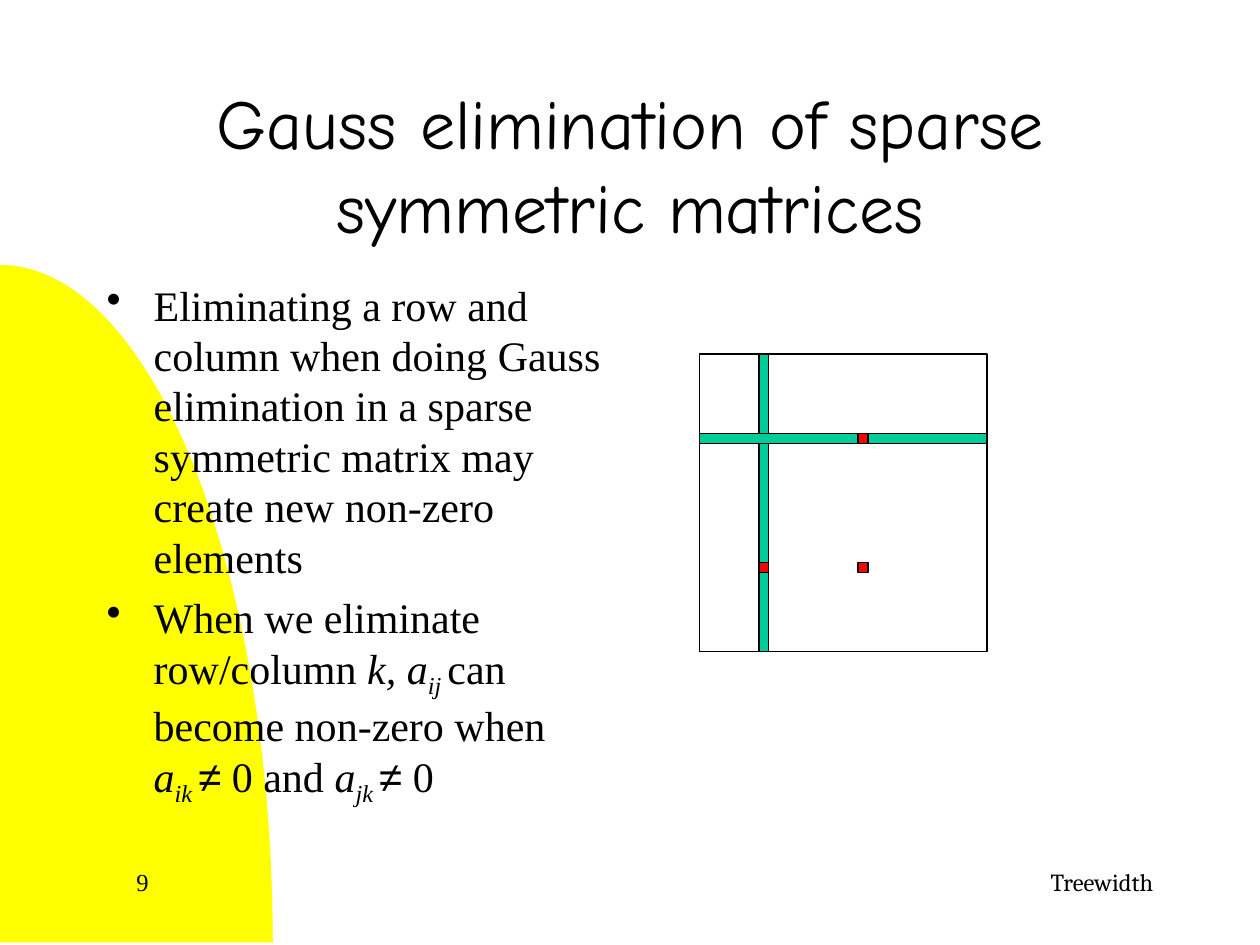
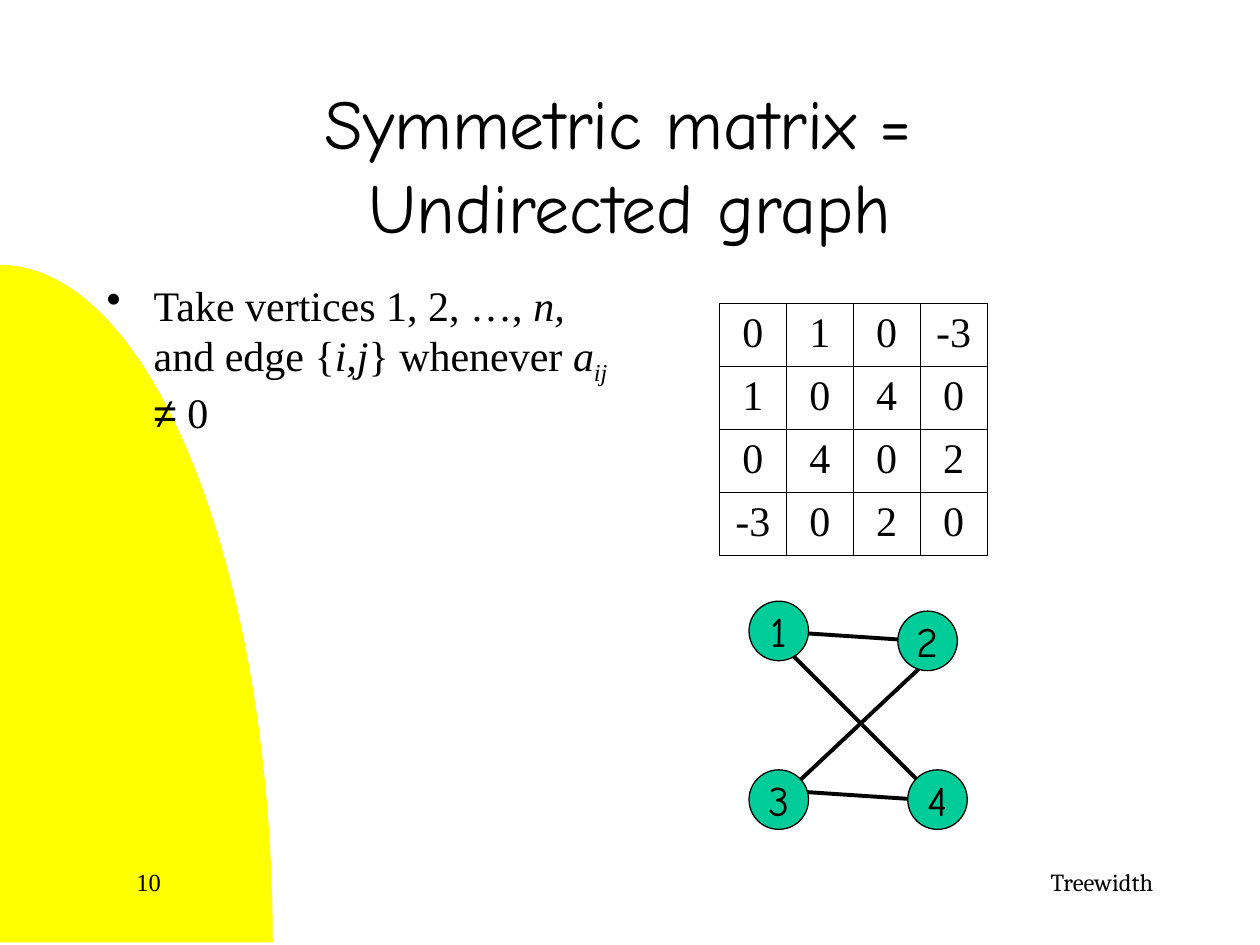
"""Build two slides on Gauss elimination and the graph of a symmetric matrix."""
import dataclasses
import math
import typing

import lxml.etree
import pptx
import pptx.dml.color
import pptx.enum.shapes
import pptx.enum.text
import pptx.oxml.ns
import pptx.shapes.autoshape
import pptx.slide
import pptx.table
import pptx.text.text
import pptx.util

Cm = pptx.util.Cm
Pt = pptx.util.Pt
ALIGN = pptx.enum.text.PP_ALIGN
ANCHOR = pptx.enum.text.MSO_ANCHOR
SHAPE = pptx.enum.shapes.MSO_SHAPE
qn = pptx.oxml.ns.qn

BLACK, WHITE, YELLOW, GREEN, RED = "000000", "FFFFFF", "FFFF00", "00CC99", "FF0000"
SERIF, HAND, FOOTER_FONT, SYMBOL = "Times New Roman", "Comic Neue", "Cambria", "Arial"
TITLE_SIZE, BODY_SIZE, FOOTER_SIZE = 40, 24, 14
BULLET_INDENT = 0.95


class Run(typing.NamedTuple):
    text: str
    italic: bool = False
    sub: bool = False
    font: str = SERIF


@dataclasses.dataclass(frozen=True)
class Box:
    left: float
    top: float
    width: float
    height: float

    def emu(self) -> tuple[int, ...]:
        return tuple(Cm(v) for v in dataclasses.astuple(self))


@dataclasses.dataclass(frozen=True)
class Block:
    box: Box
    fill: str


@dataclasses.dataclass(frozen=True)
class Node:
    label: str
    left: float
    top: float


class Edge(typing.NamedTuple):
    x1: float
    y1: float
    x2: float
    y2: float


TITLE_BOX = Box(1.9, 1.7, 21.6, 3.18)
BODY_BOX = Box(1.9, 5.5, 10.6, 11.43)
NUMBER_BOX = Box(1.9, 17.35, 5.28, 1.27)
FOOTER_BOX = Box(13.97, 17.35, 9.53, 1.27)

NOT_EQUAL = Run("≠", font=SYMBOL)
ELIMINATION_BULLETS = [
    [Run("Eliminating a row and column when doing Gauss elimination in a sparse "
         "symmetric matrix may create new non-zero elements")],
    [Run("When we eliminate row/column "), Run("k, a", True), Run("ij ", True, True),
     Run("can become non-zero when\n"), Run("a", True), Run("ik ", True, True),
     NOT_EQUAL, Run(" 0 and "), Run("a", True), Run("jk ", True, True),
     NOT_EQUAL, Run(" 0")],
]
GRAPH_BULLETS = [
    [Run("Take vertices 1, 2, …, "), Run("n, ", True), Run("and edge {"),
     Run("i,j", True), Run("} whenever "), Run("a", True), Run("ij ", True, True),
     NOT_EQUAL, Run(" 0")],
]

MATRIX = Box(14.1, 7.14, 5.8, 6)
STRIP = 0.2
PIVOT_X, PIVOT_Y = MATRIX.left + 1.2, MATRIX.top + 1.6
ENTRY_X, ENTRY_Y = MATRIX.left + 3.2, MATRIX.top + 4.2
MATRIX_BLOCKS = [
    Block(MATRIX, WHITE),
    Block(Box(PIVOT_X, MATRIX.top, STRIP, MATRIX.height), GREEN),
    Block(Box(MATRIX.left, PIVOT_Y, MATRIX.width, STRIP), GREEN),
] + [Block(Box(x, y, STRIP, STRIP), RED)
     for x, y in [(ENTRY_X, PIVOT_Y), (PIVOT_X, ENTRY_Y), (ENTRY_X, ENTRY_Y)]]

ADJACENCY = [[0, 1, 0, -3], [1, 0, 4, 0], [0, 4, 0, 2], [-3, 0, 2, 0]]
TABLE_BOX = Box(14.5, 6.12, 5.4, 5.08)

NODE_SIZE = 1.2
NODES = [Node("1", 15.1, 12.12), Node("2", 18.1, 12.32),
         Node("3", 15.1, 15.52), Node("4", 18.3, 15.52)]
EDGES = [Edge(15.7, 16.13, 18.9, 13.13), Edge(15.7, 12.93, 18.9, 16.13),
         Edge(15.7, 15.93, 18.7, 16.13), Edge(15.7, 12.73, 18.7, 12.93)]


def rgb(color: str) -> pptx.dml.color.RGBColor:
    return pptx.dml.color.RGBColor.from_string(color)


def add_run(p: pptx.text.text._Paragraph, run: Run, size: float) -> None:
    for i, part in enumerate(run.text.split("\n")):
        if i:
            p.add_line_break()
        if not part:
            continue
        r = p.add_run()
        r.text = part
        r.font.name, r.font.size, r.font.italic = run.font, Pt(size), run.italic
        r.font.color.rgb = rgb(BLACK)
        if run.sub:
            r._r.get_or_add_rPr().set("baseline", "-25000")


def add_textbox(slide: pptx.slide.Slide, box: Box) -> pptx.text.text.TextFrame:
    tf = slide.shapes.add_textbox(*box.emu()).text_frame
    tf.word_wrap = True
    return tf


def add_title(slide: pptx.slide.Slide, text: str) -> None:
    sp = slide.shapes.title
    sp.left, sp.top, sp.width, sp.height = TITLE_BOX.emu()
    tf = sp.text_frame
    tf.auto_size = pptx.enum.text.MSO_AUTO_SIZE.NONE
    tf.vertical_anchor = ANCHOR.MIDDLE
    p = tf.paragraphs[0]
    p.alignment = ALIGN.CENTER
    add_run(p, Run(text, font=HAND), TITLE_SIZE)


def add_bullets(slide: pptx.slide.Slide, bullets: list[list[Run]]) -> None:
    tf = add_textbox(slide, BODY_BOX)
    for i, runs in enumerate(bullets):
        p = tf.add_paragraph() if i else tf.paragraphs[0]
        p.space_before = Pt(6)
        pPr = p._p.get_or_add_pPr()
        pPr.set("marL", str(Cm(BULLET_INDENT)))
        pPr.set("indent", str(-Cm(BULLET_INDENT)))
        lxml.etree.SubElement(pPr, qn("a:buChar")).set("char", "•")
        for run in runs:
            add_run(p, run, BODY_SIZE)


def add_corner_ellipse(slide: pptx.slide.Slide) -> None:
    center_y, radius_x, radius_y = Cm(19), Cm(5.5), Cm(13.66)
    angles = [math.radians(a) for a in range(0, 91, 2)]
    points = [(round(radius_x * math.sin(a)), round(center_y - radius_y * math.cos(a)))
              for a in angles]
    fb = slide.shapes.build_freeform(*points[0])
    fb.add_line_segments(points[1:] + [(0, center_y)], close=True)
    sp = fb.convert_to_shape()
    sp.shadow.inherit = False
    sp.fill.solid()
    sp.fill.fore_color.rgb = rgb(YELLOW)
    sp.line.fill.background()


def add_footers(slide: pptx.slide.Slide, number: int) -> None:
    p = add_textbox(slide, FOOTER_BOX).paragraphs[0]
    p.alignment = ALIGN.RIGHT
    add_run(p, Run("Treewidth", font=FOOTER_FONT), FOOTER_SIZE)
    p = add_textbox(slide, NUMBER_BOX).paragraphs[0]
    p._p.get_or_add_pPr().set("marL", str(Cm(0.6)))
    add_run(p, Run(str(number)), FOOTER_SIZE)


def add_slide(prs: pptx.presentation.Presentation, number: int, title: str,
              bullets: list[list[Run]]) -> pptx.slide.Slide:
    slide = prs.slides.add_slide(prs.slide_layouts.get_by_name("Title Only"))
    add_corner_ellipse(slide)
    add_title(slide, title)
    add_bullets(slide, bullets)
    add_footers(slide, number)
    return slide


def add_outlined(slide: pptx.slide.Slide, kind: SHAPE, box: Box,
                 fill: str) -> pptx.shapes.autoshape.Shape:
    sp = slide.shapes.add_shape(kind, *box.emu())
    sp.shadow.inherit = False
    sp.fill.solid()
    sp.fill.fore_color.rgb = rgb(fill)
    sp.line.color.rgb = rgb(BLACK)
    sp.line.width = Pt(0.75)
    return sp


def add_edge(slide: pptx.slide.Slide, edge: Edge) -> None:
    line = slide.shapes.add_connector(pptx.enum.shapes.MSO_CONNECTOR.STRAIGHT,
                                      *(Cm(v) for v in edge))
    line.line.color.rgb = rgb(BLACK)
    line.line.width = Pt(2.25)
    lxml.etree.SubElement(line._element.spPr, qn("a:effectLst"))


def add_node(slide: pptx.slide.Slide, node: Node) -> None:
    box = Box(node.left, node.top, NODE_SIZE, NODE_SIZE)
    tf = add_outlined(slide, SHAPE.OVAL, box, GREEN).text_frame
    tf.word_wrap = False
    tf.vertical_anchor = ANCHOR.MIDDLE
    p = tf.paragraphs[0]
    p.alignment = ALIGN.CENTER
    add_run(p, Run(node.label, font=HAND), BODY_SIZE)


def add_borders(cell: pptx.table._Cell) -> None:
    tcPr = cell._tc.get_or_add_tcPr()
    for side in ("lnL", "lnR", "lnT", "lnB"):
        ln = lxml.etree.SubElement(tcPr, qn(f"a:{side}"), w=str(Pt(0.45)))
        fill = lxml.etree.SubElement(ln, qn("a:solidFill"))
        lxml.etree.SubElement(fill, qn("a:srgbClr"), val=BLACK)


def add_matrix_table(slide: pptx.slide.Slide, values: list[list[int]]) -> None:
    size = len(values)
    table = slide.shapes.add_table(size, size, *TABLE_BOX.emu()).table
    table.first_row = table.horz_banding = False
    for i, row in enumerate(values):
        for j, value in enumerate(row):
            cell = table.cell(i, j)
            add_borders(cell)
            cell.fill.background()
            p = cell.text_frame.paragraphs[0]
            p.alignment = ALIGN.CENTER
            p.space_before = Pt(6)
            add_run(p, Run(str(value)), BODY_SIZE)


def main() -> None:
    prs = pptx.Presentation()
    prs.slide_width, prs.slide_height = Cm(25.4), Cm(19.05)

    slide = add_slide(prs, 9, "Gauss elimination of sparse symmetric matrices",
                      ELIMINATION_BULLETS)
    for block in MATRIX_BLOCKS:
        add_outlined(slide, SHAPE.RECTANGLE, block.box, block.fill)

    slide = add_slide(prs, 10, "Symmetric matrix = \nUndirected graph", GRAPH_BULLETS)
    add_matrix_table(slide, ADJACENCY)
    for edge in EDGES:
        add_edge(slide, edge)
    for node in NODES:
        add_node(slide, node)

    prs.save("out.pptx")


if __name__ == "__main__":
    main()
